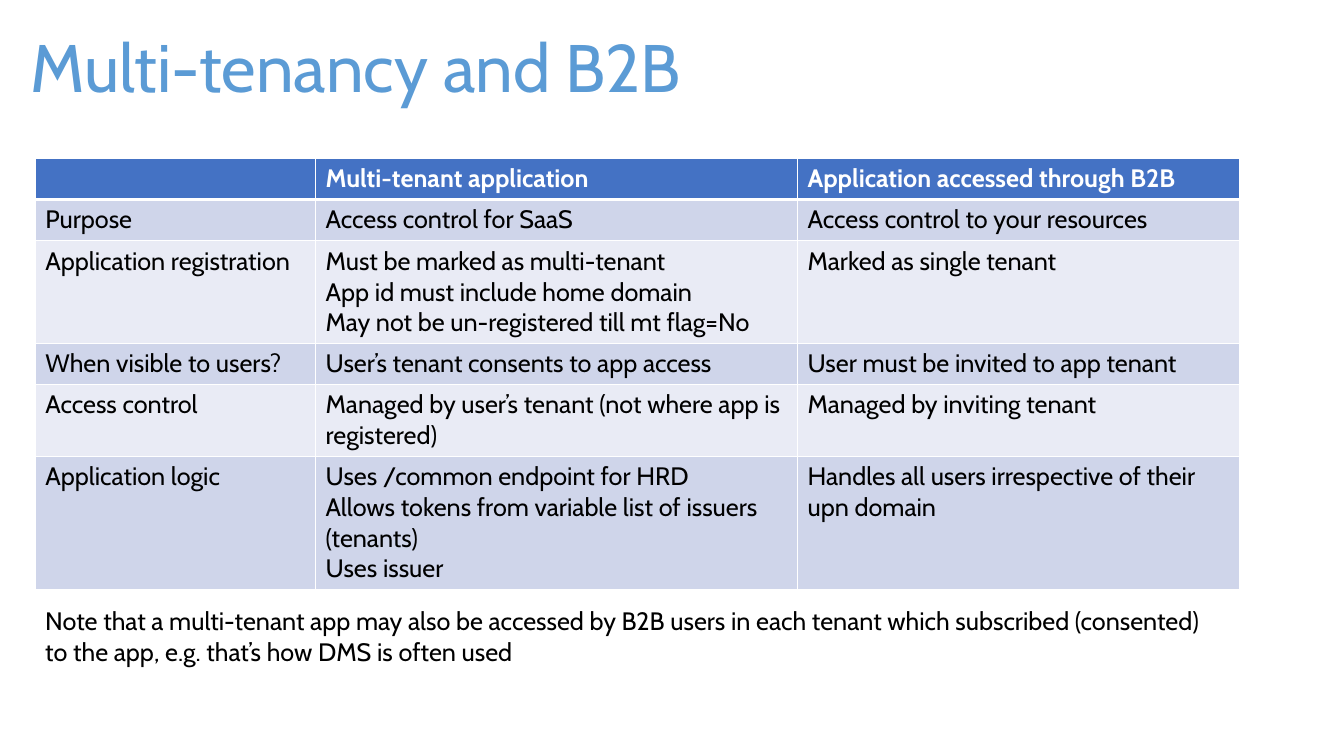
from lxml.etree import SubElement
from pptx import Presentation
from pptx.dml.color import RGBColor
from pptx.enum.text import MSO_ANCHOR, PP_ALIGN
from pptx.oxml.ns import qn
from pptx.util import Inches, Pt

COLORS = {
    "title": "5B9BD5",
    "header": "4472C4",
    "band": "CFD5EA",
    "pale": "E9EBF5",
    "text": "000000",
    "white": "FFFFFF",
}
BODY = {"name": "Cabin", "size": Pt(18), "bold": False}
HEADER = {**BODY, "bold": True}
TITLE = {**BODY, "size": Pt(48)}

COLUMN_WIDTHS = (2.78, 4.78, 4.38)
ROW_HEIGHT = 0.41
# Each line of a cell is a paragraph
ROWS = [
    ("", "Multi-tenant application", "Application accessed through B2B"),
    ("Purpose", "Access control for SaaS", "Access control to your resources"),
    ("Application registration",
     "Must be marked as multi-tenant\nApp id must include home domain\n"
     "May not be un-registered till mt flag=No",
     "Marked as single tenant"),
    ("When visible to users?", "User’s tenant consents to app access",
     "User must be invited to app tenant"),
    ("Access control", "Managed by user’s tenant (not where app is registered)",
     "Managed by inviting tenant"),
    ("Application logic",
     "Uses /common endpoint for HRD\n"
     "Allows tokens from variable list of issuers (tenants)\nUses issuer",
     "Handles all users irrespective of their upn domain"),
]
NOTE = ("Note that a multi-tenant app may also be accessed by B2B users in each "
        "tenant which subscribed (consented) to the app, e.g. that’s how DMS is "
        "often used")


def write(frame, text, font_format, color):
    frame.text = text
    for para in frame.paragraphs:
        para.alignment = PP_ALIGN.LEFT
        for span in para.runs:
            for name, value in font_format.items():
                setattr(span.font, name, value)
            span.font.color.rgb = RGBColor.from_string(COLORS[color])


def border_cell(cell, bottom_width):
    """Give the cell white borders; they must precede its fill in the XML."""
    properties = cell._tc.get_or_add_tcPr()
    widths = {"lnL": 1, "lnR": 1, "lnT": 1, "lnB": bottom_width}
    for side, width in widths.items():
        line = SubElement(properties, qn(f"a:{side}"), w=str(Pt(width)))
        fill = SubElement(line, qn("a:solidFill"))
        SubElement(fill, qn("a:srgbClr"), val=COLORS["white"])


def add_title(page, box):
    title = page.shapes.title
    title.left, title.top, title.width, title.height = map(Inches, box)
    frame = title.text_frame
    frame.vertical_anchor = MSO_ANCHOR.MIDDLE
    write(frame, "Multi-tenancy and B2B", TITLE, "title")
    frame.paragraphs[0].line_spacing = 0.9


def add_comparison(page, box):
    holder = page.shapes.add_table(len(ROWS), len(COLUMN_WIDTHS), *map(Inches, box))
    table = holder.table
    for column, width in zip(table.columns, COLUMN_WIDTHS):
        column.width = Inches(width)
    for row in table.rows:
        row.height = Inches(ROW_HEIGHT)
    # Rows grow with their text, so the frame keeps the full height
    holder.height = Inches(box[3])

    for row_index, texts in enumerate(ROWS):
        is_header = row_index == 0
        fill = "header" if is_header else ("pale", "band")[row_index % 2]
        for column_index, text in enumerate(texts):
            cell = table.cell(row_index, column_index)
            border_cell(cell, 3 if is_header else 1)
            cell.fill.solid()
            cell.fill.fore_color.rgb = RGBColor.from_string(COLORS[fill])
            write(cell.text_frame, text, HEADER if is_header else BODY,
                  "white" if is_header else "text")


def add_note(page, box):
    frame = page.shapes.add_textbox(*map(Inches, box)).text_frame
    frame.word_wrap = True
    write(frame, NOTE, BODY, "text")


def main():
    deck = Presentation()
    deck.slide_width, deck.slide_height = Inches(13.33), Inches(7.5)
    page = deck.slides.add_slide(deck.slide_layouts[5])
    add_title(page, (0.2, 0.2, 12.99, 1))
    add_comparison(page, (0.35, 1.57, 11.94, 4.22))
    add_note(page, (0.35, 5.96, 11.88, 0.71))
    deck.save("out.pptx")


if __name__ == "__main__":
    main()
